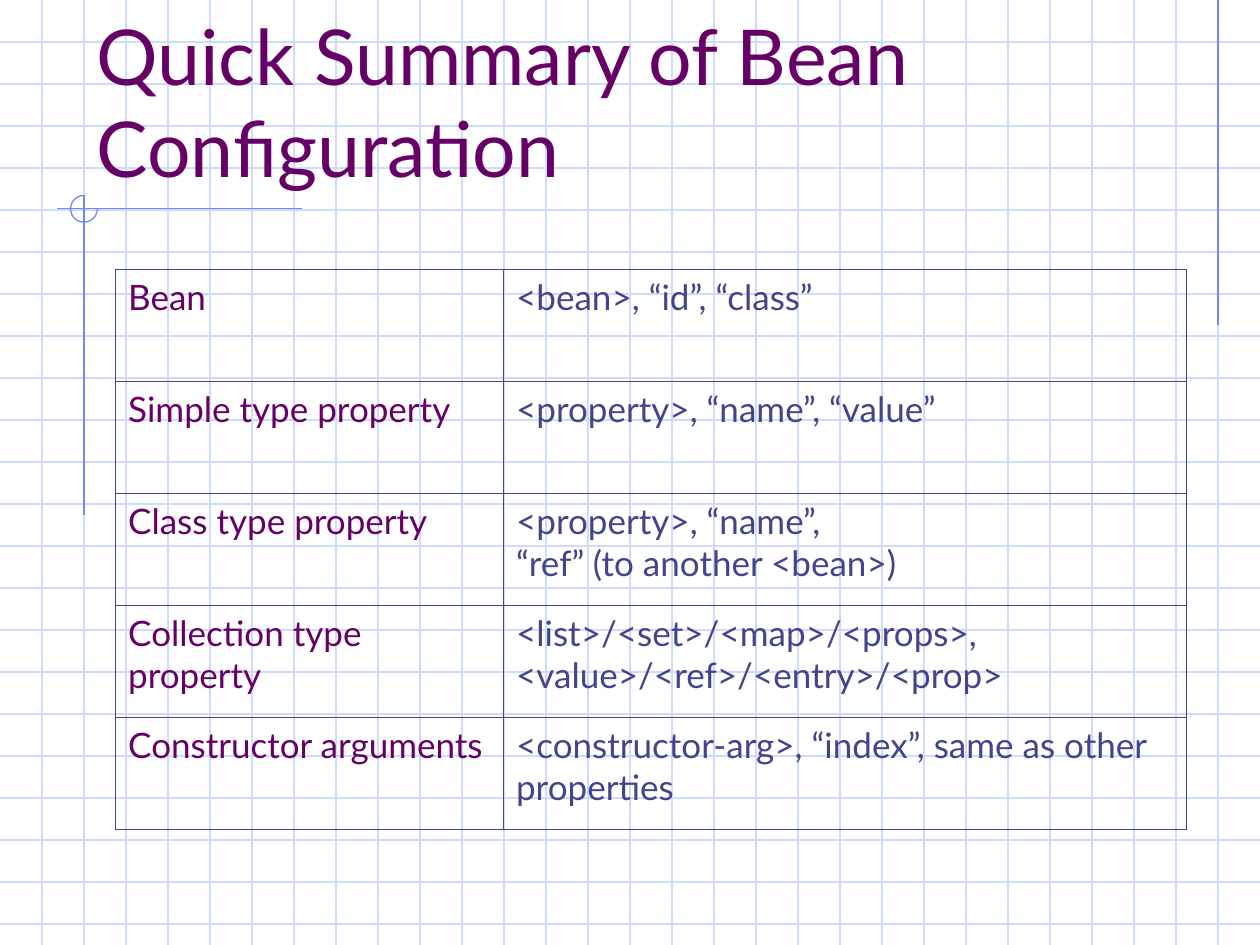
from dataclasses import dataclass

from lxml.etree import SubElement
from pptx import Presentation
from pptx.dml.color import RGBColor
from pptx.enum.shapes import MSO_CONNECTOR, MSO_SHAPE
from pptx.enum.text import MSO_ANCHOR, MSO_AUTO_SIZE, PP_ALIGN
from pptx.oxml import parse_xml
from pptx.oxml.ns import nsdecls, qn
from pptx.util import Cm, Pt


@dataclass(frozen=True)
class Theme:
    font: str = "Lato"
    plum: str = "660066"
    navy: str = "40458C"
    blue: str = "6F89F7"
    pale: str = "CFDBFD"
    head: int = 44
    body: int = 20
    rule: float = 0.75
    thin: float = 0.45
    thick: float = 1.08


THEME = Theme()
WIDE, HIGH = 25.4, 19.05
STEP = WIDE / 30

TITLE = "Quick Summary of Bean Configuration"
# Each cell is a list of paragraphs.
ROWS = [
    (["Bean"], ["<bean>, “id”, “class”"]),
    (["Simple type property"], ["<property>, “name”, “value”"]),
    (["Class type property"],
     ["<property>, “name”,", "“ref” (to another <bean>)"]),
    (["Collection type", "property"],
     ["<list>/<set>/<map>/<props>,", "<value>/<ref>/<entry>/<prop>"]),
    (["Constructor arguments"],
     ["<constructor-arg>, “index”, same as other properties"]),
]


def style(para, size, color):
    para.alignment = PP_ALIGN.LEFT
    para.font.name = THEME.font
    para.font.size = Pt(size)
    para.font.bold = False
    para.font.color.rgb = RGBColor.from_string(color)


def pen(shape, color):
    shape.line.color.rgb = RGBColor.from_string(color)
    shape.line.width = Pt(THEME.rule)


def add_line(shapes, x1, y1, x2, y2, color):
    line = shapes.add_connector(
        MSO_CONNECTOR.STRAIGHT, Cm(x1), Cm(y1), Cm(x2), Cm(y2))
    pen(line, color)
    SubElement(line._element.spPr, qn("a:effectLst"))


def add_grid(slide, left, top, width, height):
    """Rule the box into squares, like graph paper."""
    shapes = slide.shapes.add_group_shape().shapes
    for n in range(1, int(height / STEP) + 1):
        y = top + n * STEP
        add_line(shapes, left, y, left + width, y, THEME.pale)
    for n in range(1, round(width / STEP)):
        x = left + n * STEP
        add_line(shapes, x, top, x, top + height, THEME.pale)


def add_marks(slide, left, top, width, height):
    """Draw the right-hand rule, and the crossed rules with their open ring."""
    shapes = slide.shapes.add_group_shape().shapes
    edge = left + width - STEP
    add_line(shapes, edge, top, edge, top + 6.55, THEME.blue)

    x, y, ring = left + 2 * STEP, top + 4.21, 0.54
    add_line(shapes, x + 4.4, y, x - 0.55, y, THEME.blue)
    add_line(shapes, x, y - ring / 2, x, y + 6.18, THEME.blue)
    arc = shapes.add_shape(MSO_SHAPE.ARC, Cm(x - ring / 2), Cm(y - ring / 2),
                           Cm(ring), Cm(ring))
    # Angles count in 60000ths of a degree, scaled by 100000.
    arc.adjustments[0] = 0
    arc.adjustments[1] = 270 * 0.6
    arc.shadow.inherit = False
    arc.fill.background()
    pen(arc, THEME.blue)


def set_title(slide, left, top, width, height):
    title = slide.shapes.title
    title.left, title.top = Cm(left), Cm(top)
    title.width, title.height = Cm(width), Cm(height)
    frame = title.text_frame
    frame.text = TITLE
    frame.word_wrap = True
    frame.auto_size = MSO_AUTO_SIZE.NONE
    frame.vertical_anchor = MSO_ANCHOR.BOTTOM
    style(frame.paragraphs[0], THEME.head, THEME.plum)
    slide.shapes._spTree.append(title._element)  # bring in front of the grid


def set_edges(cell, outer):
    """Line the four sides, thick where the side is on the table's rim."""
    props = cell._tc.get_or_add_tcPr()
    for n, side in enumerate("LRTB"):
        width = Pt(THEME.thick if side in outer else THEME.thin)
        props.insert(n, parse_xml(
            f'<a:ln{side} {nsdecls("a")} w="{width}"><a:solidFill>'
            f'<a:srgbClr val="{THEME.navy}"/></a:solidFill></a:ln{side}>'))


def add_table(slide, left, top, width, height):
    last = len(ROWS) - 1
    table = slide.shapes.add_table(
        len(ROWS), 2, Cm(left), Cm(top), Cm(width), Cm(height)).table
    table.first_row = table.horz_banding = False
    first = 7.82
    table.columns[0].width = Cm(first)
    table.columns[1].width = Cm(width - first)
    for r, row in enumerate(ROWS):
        table.rows[r].height = Cm(height / len(ROWS))
        for c, lines in enumerate(row):
            cell = table.cell(r, c)
            cell.fill.background()
            rim = {0: "T", last: "B"}.get(r, "")
            set_edges(cell, "LR"[c] + rim)
            cell.text_frame.text = "\n".join(lines)
            for para in cell.text_frame.paragraphs:
                style(para, THEME.body, (THEME.plum, THEME.navy)[c])
                para.space_before = Pt(5 if rim else 0)


def main():
    deck = Presentation()
    deck.slide_width, deck.slide_height = Cm(WIDE), Cm(HIGH)
    slide = deck.slides.add_slide(deck.slide_layouts.get_by_name("Title Only"))
    add_grid(slide, 0, 0, WIDE, HIGH)
    add_marks(slide, 0, 0, WIDE, HIGH)
    set_title(slide, 1.69, 0.85, 21.59, 3.17)
    add_table(slide, 2.33, 5.43, 21.59, 11.29)
    deck.save("out.pptx")


if __name__ == "__main__":
    main()
